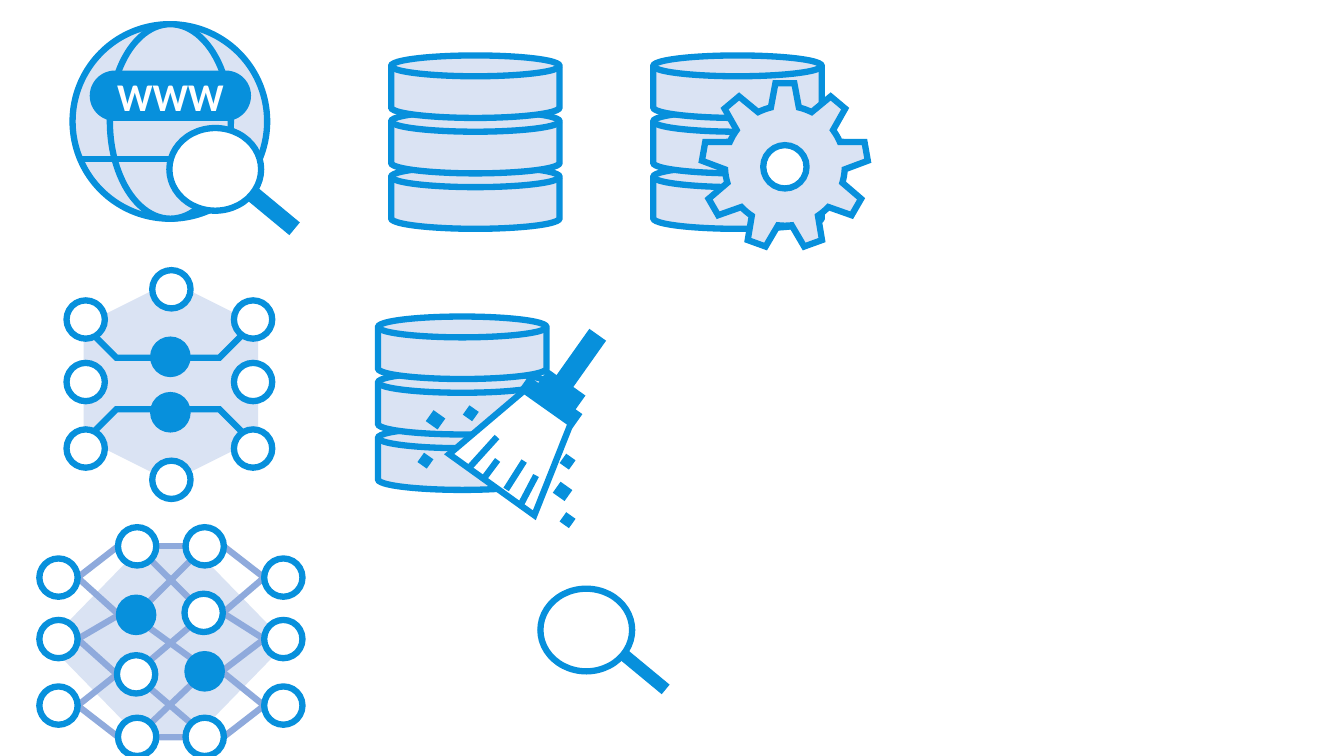
import pptx
import pptx.util
import pptx.dml.color
import pptx.enum.shapes
import pptx.enum.text
import pptx.oxml.ns
from lxml import etree

RGBColor = pptx.dml.color.RGBColor
SHAPE = pptx.enum.shapes.MSO_SHAPE
Inches = pptx.util.Inches
Pt = pptx.util.Pt
qn = pptx.oxml.ns.qn

BLUE = RGBColor(0x07, 0x90, 0xDC)
PALE = RGBColor(0xDA, 0xE3, 0xF3)
SOFT = RGBColor(0x8F, 0xAA, 0xDC)
WHITE = RGBColor(0xFF, 0xFF, 0xFF)

STROKE = 4.5
NODE, DOT = 0.38, 0.34
LENS = (0.91, 0.82)
DISK = (1.67, 0.62)
DISK_PITCH = 0.55

# Hub icon: node centres and the mirrored traces between them
HUB_NODES = [(x, y) for x in (0.85, 2.51) for y in (3.17, 3.79, 4.45)]
HUB_NODES += [(1.7, 2.87), (1.7, 4.76)]
HUB_DOTS = [(1.69, 3.54), (1.69, 4.09)]
HUB_AXIS = 1.665
HUB_TRACES = [(3.55, 3.32), (4.06, 4.29)]

# Network icon: layers of (centre x, centre y, filled)
LAYERS = [
    [(0.58, 5.73, False), (0.58, 6.34, False), (0.58, 7.0, False)],
    [(1.36, 5.42, False), (1.35, 6.1, True), (1.35, 6.69, False), (1.36, 7.31, False)],
    [(2.03, 5.42, False), (2.02, 6.08, False), (2.03, 6.66, True), (2.03, 7.31, False)],
    [(2.81, 5.73, False), (2.81, 6.34, False), (2.81, 7.0, False)],
]

# Broom icon: left, top, width, height, rotation
BROOM_HANDLE = (5.27, 3.57, 0.83, 0.19, 305.3)
BROOM_SOLIDS = [
    (5.38, 3.67, 0.16, 0.64, 305.3),
    (5.46, 3.66, 0.2, 0.44, 305.3),
    (4.6, 4.46, 0.39, 0.05, 312.1),
    (4.95, 4.69, 0.32, 0.05, 302.4),
    (5.08, 4.84, 0.32, 0.05, 297.7),
    (4.74, 4.64, 0.24, 0.05, 306.8),
]
DUST = [(4.26, 4.1, 0.12, 0.13), (5.52, 4.81, 0.12, 0.13), (4.62, 4.05, 0.1, 0.1),
        (4.17, 4.52, 0.1, 0.1), (5.58, 4.53, 0.1, 0.1), (5.58, 5.11, 0.1, 0.1)]


def style(sp, fill, line, width):
    sp.shadow.inherit = False
    if fill is None:
        sp.fill.background()
    else:
        sp.fill.solid()
        sp.fill.fore_color.rgb = fill
    if line is None:
        sp.line.fill.background()
    else:
        sp.line.color.rgb = line
        sp.line.width = Pt(width)
        ln = sp._element.spPr.find(qn("a:ln"))
        etree.SubElement(ln, qn("a:miter"), lim="800000")


def draw(shapes, kind, x, y, w, h, rot=0, fill=PALE, line=BLUE, width=STROKE, adj=()):
    sp = shapes.add_shape(kind, Inches(x), Inches(y), Inches(w), Inches(h))
    sp.rotation = rot
    for i, value in enumerate(adj):
        sp.adjustments[i] = value
    style(sp, fill, line, width)
    return sp


def draw_bar(shapes, x, y, w, h, rot):
    draw(shapes, SHAPE.RECTANGLE, x, y, w, h, rot, fill=BLUE, width=1)


def draw_line(shapes, start, end, color):
    ends = [Inches(v) for v in (*start, *end)]
    cn = shapes.add_connector(pptx.enum.shapes.MSO_CONNECTOR.STRAIGHT, *ends)
    cn.line.color.rgb = color
    cn.line.width = Pt(STROKE)
    etree.SubElement(cn._element.spPr, qn("a:effectLst"))


def draw_trace(shapes, points):
    start, *rest = [(Inches(x), Inches(y)) for x, y in points]
    builder = shapes.build_freeform(*start)
    builder.add_line_segments(rest, close=False)
    style(builder.convert_to_shape(), None, BLUE, STROKE)


def draw_node(shapes, cx, cy, filled=False):
    d = DOT if filled else NODE
    draw(shapes, SHAPE.OVAL, cx - d / 2, cy - d / 2, d, d, fill=BLUE if filled else WHITE)


def write(sp, text, size, color, bold=False, font="Calibri"):
    tf = sp.text_frame
    tf.word_wrap = True
    tf.vertical_anchor = pptx.enum.text.MSO_ANCHOR.MIDDLE
    p = tf.paragraphs[0]
    p.alignment = pptx.enum.text.PP_ALIGN.CENTER
    r = p.add_run()
    r.text = text
    r.font.name, r.font.size, r.font.bold = font, Pt(size), bold
    r.font.color.rgb = color


def magnifier(slide, x, y, thickness, fill):
    shapes = slide.shapes.add_group_shape().shapes
    draw_bar(shapes, x + 0.75, y + 0.82 - thickness / 2, 0.55, thickness, 39.6)
    draw(shapes, SHAPE.OVAL, x, y, *LENS, fill=fill)


def database(slide, x, y):
    shapes = slide.shapes.add_group_shape().shapes
    for level in (2, 1, 0):
        draw(shapes, SHAPE.FLOWCHART_MAGNETIC_DISK, x, y + level * DISK_PITCH, *DISK)


def hub(slide):
    shapes = slide.shapes.add_group_shape().shapes
    draw(shapes, SHAPE.HEXAGON, 0.7, 2.92, 1.99, 1.73, 270, line=None)
    for side in (1, -1):
        for y, tip in HUB_TRACES:
            draw_trace(shapes, [(HUB_AXIS + side * dx, yy)
                                for dx, yy in ((-0.01, y), (0.51, y), (0.74, tip))])
    for cx, cy in HUB_NODES:
        draw_node(shapes, cx, cy)
    for cx, cy in HUB_DOTS:
        draw_node(shapes, cx, cy, filled=True)


def site(node, dx, dy):
    """Point on the node's rim in the compass direction (dx, dy)."""
    cx, cy, filled = node
    reach = (DOT if filled else NODE) / 2 / (dx * dx + dy * dy) ** 0.5
    return cx + dx * reach, cy + dy * reach


def network(slide):
    shapes = slide.shapes.add_group_shape().shapes
    draw(shapes, SHAPE.HEXAGON, 0.47, 5.41, 2.37, 1.94, 180, line=None, adj=(0.487,))
    first, second, third, last = LAYERS
    edges = []
    for i in range(3):
        edges.append((site(second[i], 1, 1), site(third[i + 1], -1, -1)))
        edges.append((site(second[i + 1], 1, -1), site(third[i], -1, 1)))
        for j in (i, i + 1):
            edges.append((site(first[i], 1, 0), site(second[j], -1, 0)))
            edges.append((site(last[i], -1, 0), site(third[j], 1, 0)))
    for i in (0, -1):
        edges.append((site(second[i], 1, 0), site(third[i], -1, 0)))
    for start, end in edges:
        draw_line(shapes, start, end, SOFT)
    for layer in LAYERS:
        for node in layer:
            draw_node(shapes, *node)


def globe(slide):
    shapes = slide.shapes
    draw(shapes, SHAPE.OVAL, 0.72, 0.24, 1.93, 1.93)
    draw(shapes, SHAPE.OVAL, 1.09, 0.24, 1.2, 1.93)
    label = draw(shapes, SHAPE.ROUNDED_RECTANGLE, 0.89, 0.7, 1.6, 0.5,
                 fill=BLUE, line=None, adj=(0.5,))
    write(label, "WWW", size=28, color=WHITE, bold=True)
    draw_line(shapes, (0.81, 1.58), (2.56, 1.58), BLUE)
    magnifier(slide, 1.68, 1.27, 0.15, WHITE)


def broom(slide):
    shapes = slide.shapes.add_group_shape().shapes
    draw_bar(shapes, *BROOM_HANDLE)
    draw(shapes, SHAPE.TRAPEZOID, 4.64, 3.93, 1.04, 0.97, 35.7, fill=WHITE)
    for bar in BROOM_SOLIDS:
        draw_bar(shapes, *bar)
    for speck in DUST:
        draw_bar(shapes, *speck, 305.3)


def gear(slide):
    draw(slide.shapes, SHAPE.GEAR_9, 6.95, 0.81, 1.67, 1.67, adj=(0.144, 0.027))
    draw(slide.shapes, SHAPE.OVAL, 7.57, 1.44, 0.43, 0.43, fill=WHITE)


def main():
    prs = pptx.Presentation()
    prs.slide_width, prs.slide_height = Inches(13.33), Inches(7.5)
    s = prs.slides.add_slide(prs.slide_layouts[6])
    magnifier(s, 5.36, 5.84, 0.11, None)
    hub(s)
    network(s)
    globe(s)
    database(s, 3.88, 0.55)
    database(s, 3.75, 3.14)
    broom(s)
    database(s, 6.48, 0.55)
    gear(s)
    prs.save("out.pptx")


if __name__ == "__main__":
    main()
